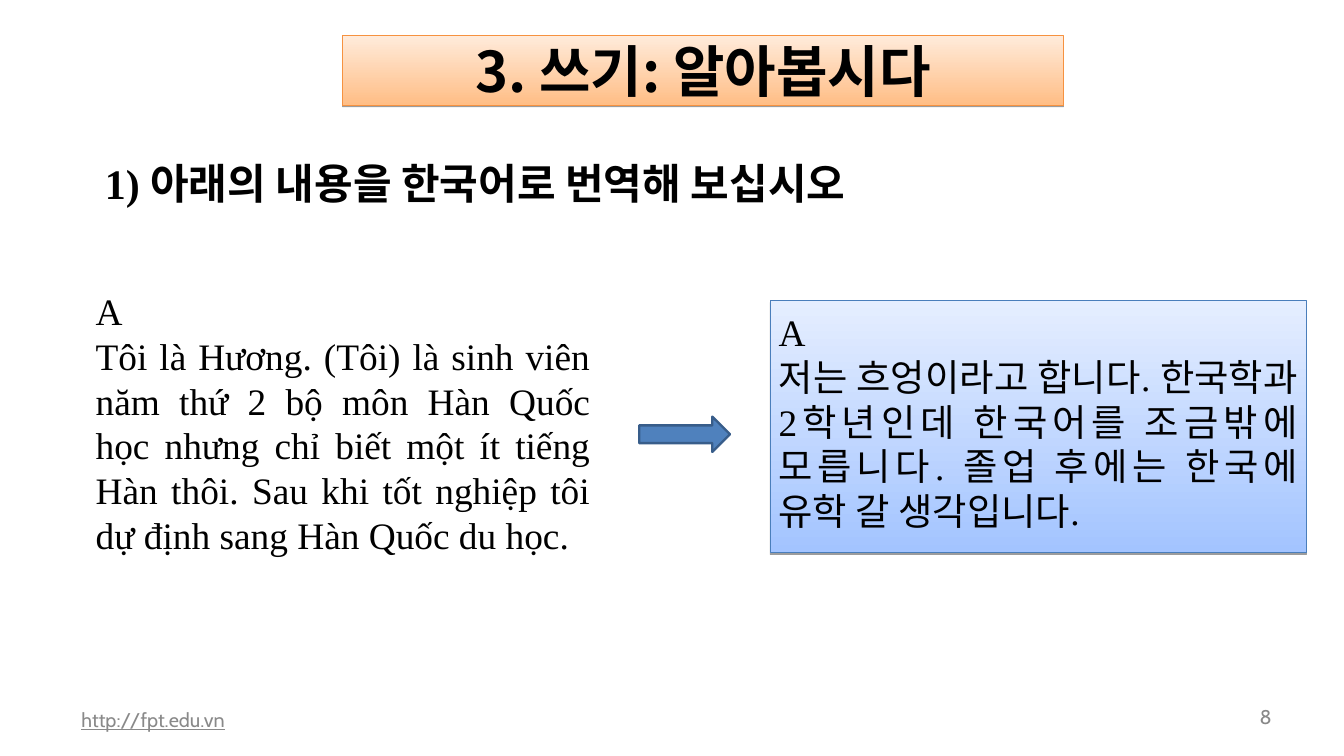
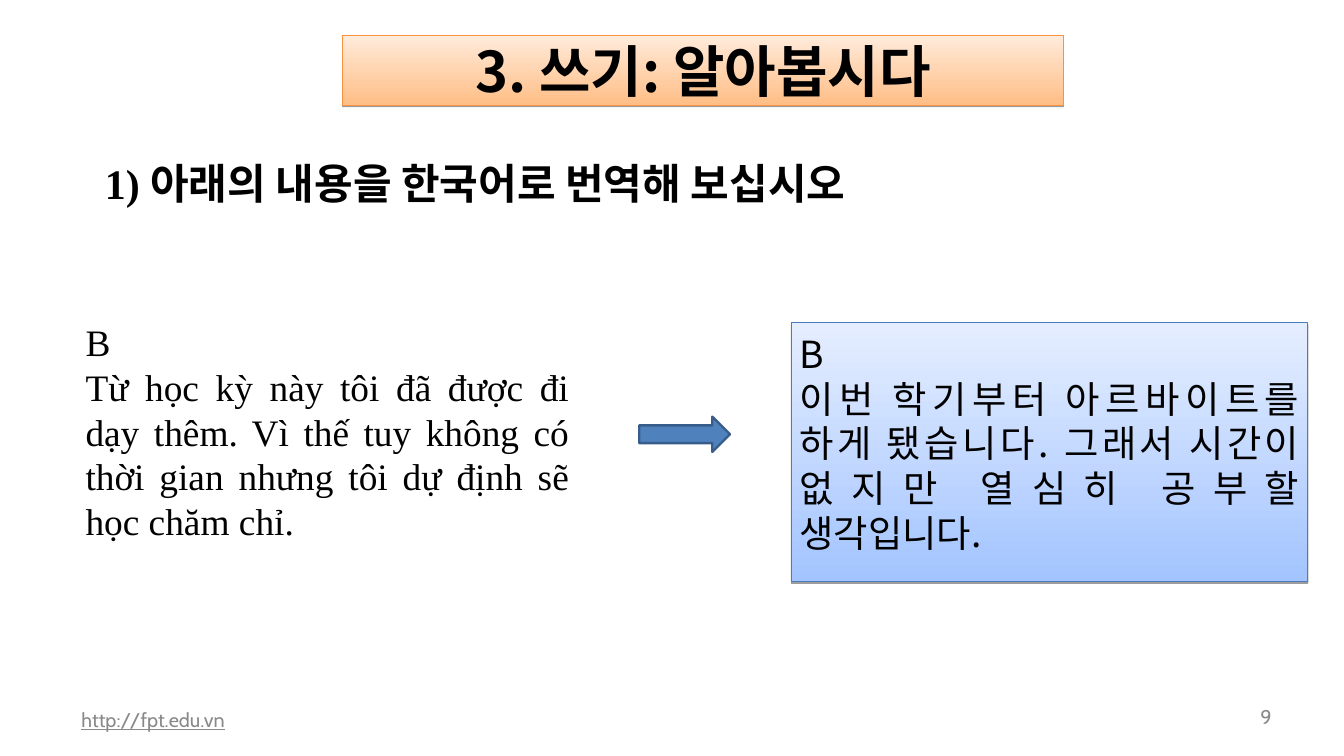
from lxml.etree import SubElement
from pptx import Presentation
from pptx.dml.color import RGBColor
from pptx.enum.shapes import MSO_SHAPE
from pptx.enum.text import MSO_ANCHOR, PP_ALIGN
from pptx.oxml.ns import qn
from pptx.util import Inches, Pt

BLACK = RGBColor(0x00, 0x00, 0x00)
GREY = RGBColor(0x89, 0x89, 0x89)
PEACH = RGBColor(0xFF, 0xEB, 0xDB)
ORANGE = RGBColor(0xFF, 0xBE, 0x86)
ORANGE_EDGE = RGBColor(0xF6, 0x92, 0x40)
PALE = RGBColor(0xE5, 0xEE, 0xFF)
SKY = RGBColor(0xA3, 0xC4, 0xFF)
SKY_EDGE = RGBColor(0x4A, 0x7E, 0xBB)
BLUE = RGBColor(0x4F, 0x81, 0xBD)
BLUE_EDGE = RGBColor(0x38, 0x5D, 0x8A)

SERIF = "Times New Roman"
HANGUL = "Noto Sans CJK KR"
LATIN = "Cabin"

# Vietnamese text, its box, Korean text, its box, Korean box font
TASKS = [
    ("A\nTôi là Hương. (Tôi) là sinh viên năm thứ 2 bộ môn Hàn Quốc học "
     "nhưng chỉ biết một ít tiếng Hàn thôi. Sau khi tốt nghiệp tôi dự định "
     "sang Hàn Quốc du học.", (1.04, 3.33, 6.09, 3.67),
     "A\n저는 흐엉이라고 합니다. 한국학과 2학년인데 한국어를 조금밖에 모릅니다. "
     "졸업 후에는 한국에 유학 갈 생각입니다.", (9.17, 3.58, 6.38, 3), SERIF),
    ("B\nTừ học kỳ này tôi đã được đi dạy thêm. Vì thế tuy không có thời gian "
     "nhưng tôi dự định sẽ học chăm chỉ.", (0.92, 3.7, 5.96, 2.51),
     "B\n이번 학기부터 아르바이트를 하게 됐습니다. 그래서 시간이 없지만 "
     "열심히 공부할 생각입니다.", (9.42, 3.84, 6.15, 3.08), HANGUL),
]


def write(shape, text, size=32, font=SERIF, color=BLACK, bold=False,
          line=False, align=PP_ALIGN.LEFT, anchor=MSO_ANCHOR.TOP,
          pad=(0.1, 0.1), lead=None):
    frame = shape.text_frame
    frame.word_wrap = True
    frame.vertical_anchor = anchor
    frame.margin_left = frame.margin_right = Inches(pad[0])
    frame.margin_top = frame.margin_bottom = Inches(pad[1])
    para = frame.paragraphs[0]
    para.text = text
    para.alignment = align
    if lead:
        para.line_spacing = Pt(lead)
    for run in para.runs:
        run.font.size = Pt(size)
        run.font.name = font
        run.font.bold = bold
        run.font.underline = line
        run.font.color.rgb = color
        SubElement(run.font._element, qn("a:ea"), typeface=HANGUL)


def panel(slide, box, top, bottom, edge):
    shape = slide.shapes.add_shape(MSO_SHAPE.RECTANGLE, *map(Inches, box))
    shape.fill.gradient()
    shape.fill.gradient_angle = 270
    for stop, color in zip(shape.fill.gradient_stops, (top, bottom)):
        stop.color.rgb = color
    shape.fill.gradient_stops[0].position = 0
    shape.fill.gradient_stops[1].position = 1
    shape.line.color.rgb = edge
    shape.line.width = Pt(0.75)
    # Thin shadow below the panel
    shape.shadow.inherit = False
    effect = shape._element.spPr.find(qn("a:effectLst"))
    shade = SubElement(effect, qn("a:outerShdw"), blurRad="0",
                       dist=str(Pt(1.6)), dir="5400000", rotWithShape="0")
    tint = SubElement(shade, qn("a:srgbClr"), val="000000")
    SubElement(tint, qn("a:alpha"), val="38000")
    return shape


deck = Presentation()
deck.slide_width, deck.slide_height = Inches(16), Inches(9)

for page, (viet, left, korean, right, font) in enumerate(TASKS, 8):
    slide = deck.slides.add_slide(deck.slide_layouts[6])
    shapes = slide.shapes

    # Footer
    note = dict(size=17, font=LATIN, color=GREY, anchor=MSO_ANCHOR.MIDDLE,
                pad=(0.14, 0.07))
    link = shapes.add_textbox(*map(Inches, (0.83, 8.33, 5.07, 0.48)))
    write(link, "http://fpt.edu.vn", line=True, **note)
    number = shapes.add_textbox(*map(Inches, (14.5, 8.33, 0.78, 0.41)))
    write(number, str(page), align=PP_ALIGN.RIGHT, **note)

    # Title and task
    title = panel(slide, (4.08, 0.42, 8.58, 0.83), PEACH, ORANGE, ORANGE_EDGE)
    write(title, "3. 쓰기: 알아봅시다", size=48, font=HANGUL, bold=True,
          align=PP_ALIGN.CENTER, anchor=MSO_ANCHOR.MIDDLE, pad=(0.1, 0.05))
    task = shapes.add_textbox(*map(Inches, (1.15, 1.77, 9.6, 0.6)))
    write(task, "1) 아래의 내용을 한국어로 번역해 보십시오", size=36, bold=True,
          lead=43.2)

    # Text and its translation
    body = dict(align=PP_ALIGN.JUSTIFY, lead=38.4)
    write(shapes.add_textbox(*map(Inches, left)), viet, **body)
    write(panel(slide, right, PALE, SKY, SKY_EDGE), korean, font=font, **body)

    # Arrow between them
    arrow = shapes.add_shape(MSO_SHAPE.RIGHT_ARROW,
                             *map(Inches, (7.61, 4.96, 1.08, 0.42)))
    arrow.shadow.inherit = False
    arrow.fill.solid()
    arrow.fill.fore_color.rgb = BLUE
    arrow.line.color.rgb = BLUE_EDGE
    arrow.line.width = Pt(2)

deck.save("out.pptx")
